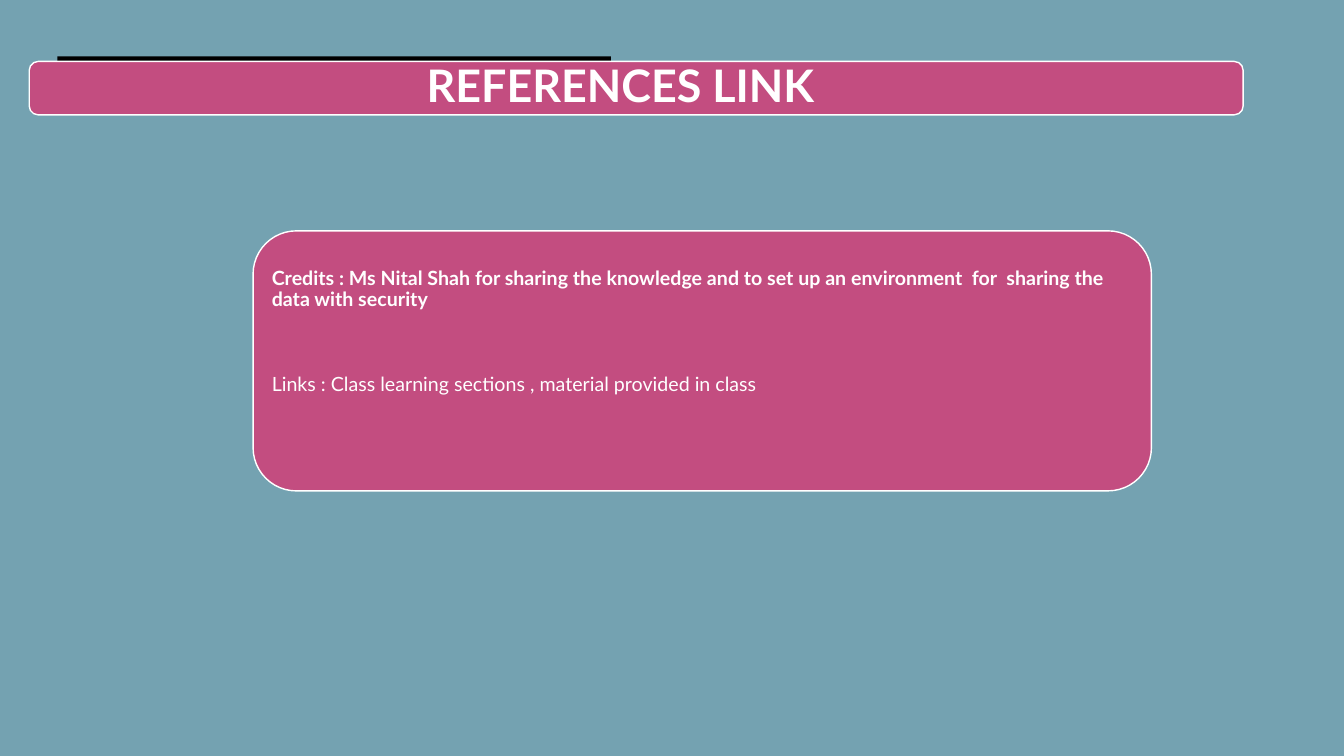
from pptx import Presentation
from pptx.dml.color import RGBColor
from pptx.enum.shapes import MSO_SHAPE
from pptx.enum.text import MSO_ANCHOR, PP_ALIGN
from pptx.util import Inches, Pt

RECT = MSO_SHAPE.RECTANGLE
ROUND = MSO_SHAPE.ROUNDED_RECTANGLE
TOP, MIDDLE = MSO_ANCHOR.TOP, MSO_ANCHOR.MIDDLE
LEFT, CENTER = PP_ALIGN.LEFT, PP_ALIGN.CENTER
PINK, WHITE, BLACK, TEAL = "C34D80", "FFFFFF", "000000", "74A2B1"


def paint(fill, color):
    fill.solid()
    fill.fore_color.rgb = RGBColor.from_string(color)


def add_box(slide, kind, place, color, edge=None):
    box = slide.shapes.add_shape(kind, *map(Inches, place))
    box.shadow.inherit = False
    paint(box.fill, color)
    if edge:
        paint(box.line.fill, edge)
        box.line.width = Pt(1)
    else:
        box.line.fill.background()
    return box


def set_frame(box, anchor, left, top, right, bottom):
    frame = box.text_frame
    frame.word_wrap = True
    frame.vertical_anchor = anchor
    frame.margin_left, frame.margin_top = Inches(left), Inches(top)
    frame.margin_right, frame.margin_bottom = Inches(right), Inches(bottom)
    return frame


def write(para, text, size=14, bold=False, align=LEFT, after=0):
    para.alignment = align
    para.line_spacing = 0.9
    para.space_after = Pt(after)
    run = para.add_run()
    run.text = text
    run.font.name = "Lato"
    run.font.size = Pt(size)
    run.font.bold = bold
    paint(run.font.fill, WHITE)


def main():
    deck = Presentation()
    deck.slide_width, deck.slide_height = Inches(13.33), Inches(7.5)
    slide = deck.slides.add_slide(deck.slide_layouts[6])
    paint(slide.background.fill, TEAL)

    add_box(slide, RECT, (0.57, 0.56, 5.49, 0.16), BLACK)

    title = add_box(slide, ROUND, (0.29, 0.61, 12.04, 0.53), PINK, WHITE)
    frame = set_frame(title, MIDDLE, 0, 0, 0.31, 0)
    write(frame.paragraphs[0], "REFERENCES LINK", size=32, bold=True, align=CENTER)

    card = add_box(slide, ROUND, (2.51, 2.29, 8.91, 2.58), PINK, WHITE)
    frame = set_frame(card, TOP, 0.06, 0.25, 0.06, 0.06)
    write(frame.paragraphs[0],
          "Credits : Ms Nital Shah for sharing the knowledge and to set up "
          "an environment  for  sharing the data with security",
          bold=True, after=45)
    write(frame.add_paragraph(),
          "Links : Class learning sections , material provided in class")

    deck.save("out.pptx")


if __name__ == "__main__":
    main()
